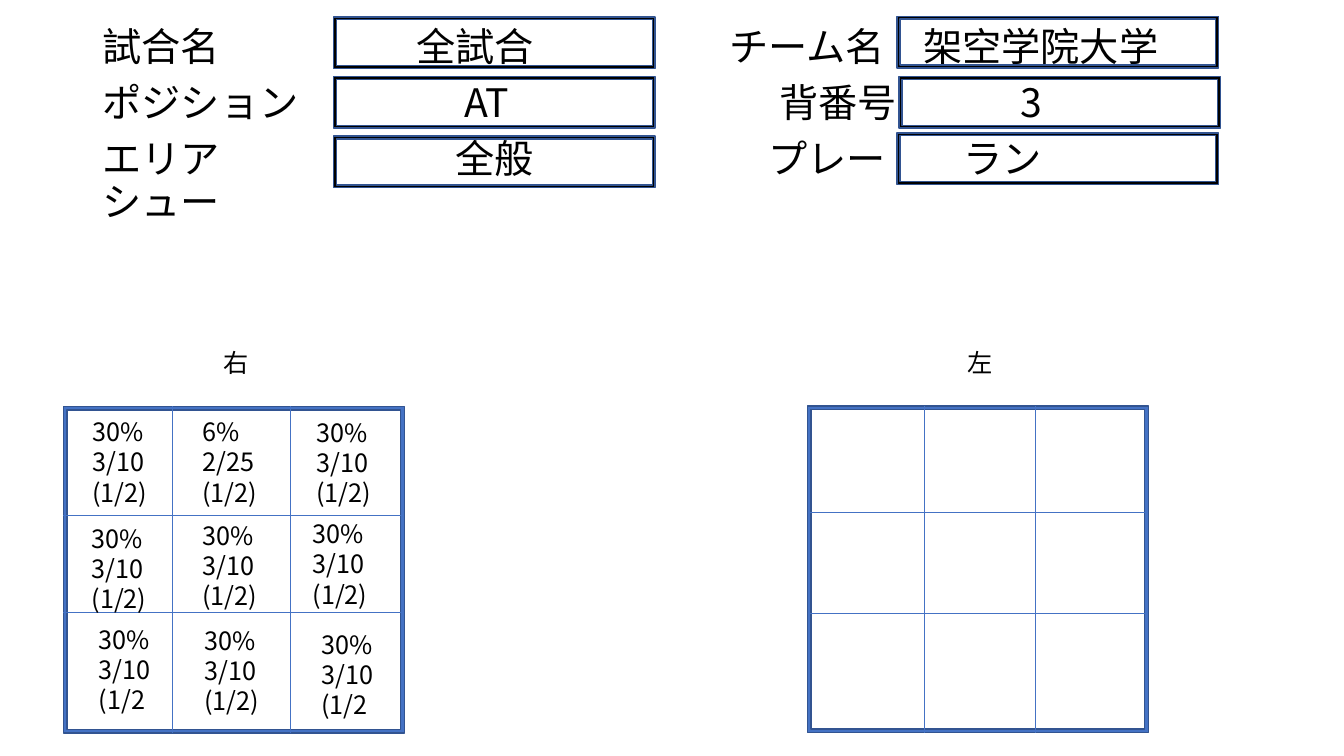
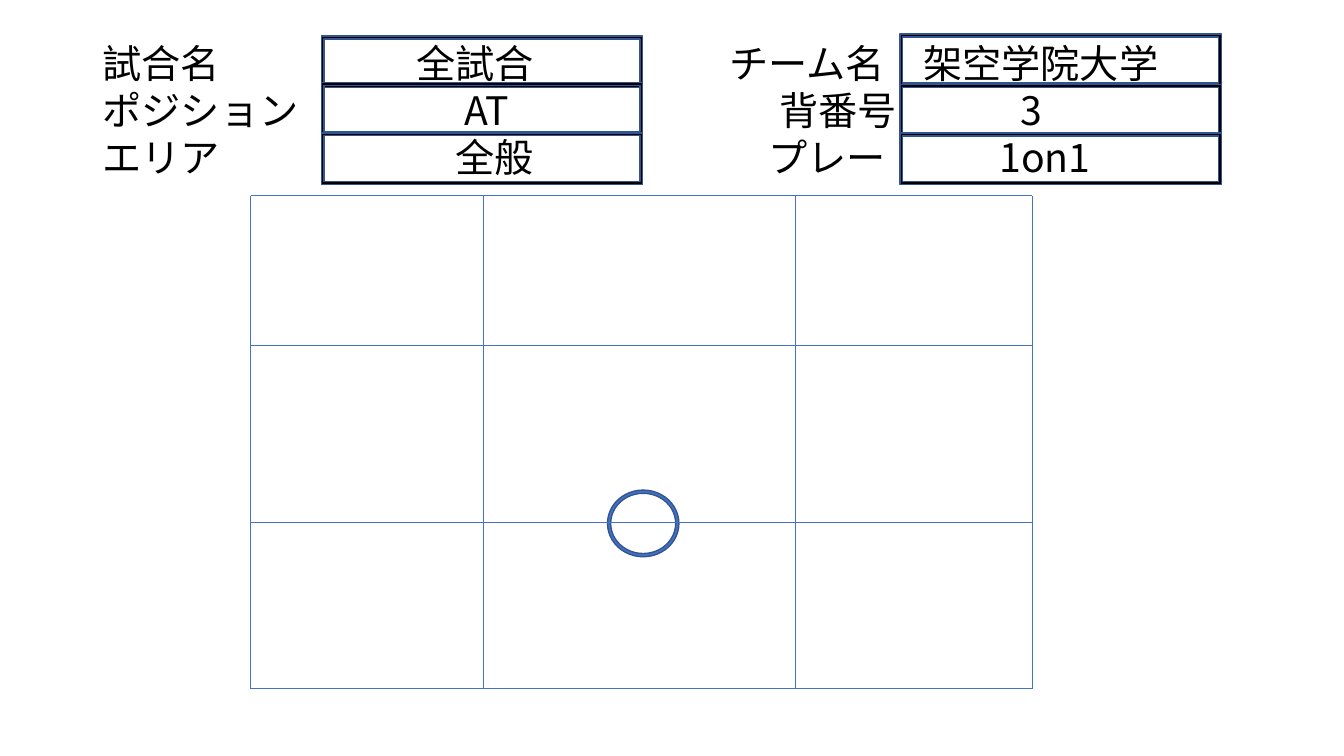
import pptx
import pptx.dml.color
import pptx.enum.shapes
import pptx.enum.text
import pptx.oxml
import pptx.oxml.ns
import pptx.util
from lxml import etree

Cm = pptx.util.Cm
Pt = pptx.util.Pt
SHAPES = pptx.enum.shapes.MSO_SHAPE

FONT = "Noto Sans CJK JP"
BLACK, BLUE, NAVY = "000000", "4472C4", "325491"
FIELD_WIDTH, FIELD_HEIGHT = 8.1, 1.3
GOAL_WIDTH, GOAL_HEIGHT = 8.59, 8.23

MATCH_ROW = "試合名\t全試合\tチーム名\t架空学院大学"
POSITION_ROW = "ポジション\tAT\t背番号\t3"
HEADER_TABS = [
    (7.9, 15.8, 20.68),
    (9.11, 17.05, 23.13),
    (8.89, 16.77, 21.7),
]
PLAY_TAB = 22.6

RIGHT_SCORES = [
    ("30%\n3/10\n(1/2)", 0.48, 0.13),
    ("6%\n2/25\n(1/2)", 3.25, 0.13),
    ("30%\n3/10\n(1/2)", 6.12, 0.15),
    ("30%\n3/10\n(1/2)", 0.46, 2.82),
    ("30%\n3/10\n(1/2)", 3.25, 2.74),
    ("30%\n3/10\n(1/2)", 6.03, 2.7),
    ("30%\n3/10\n(1/2", 0.64, 5.36),
    ("30%\n3/10\n(1/2)", 3.3, 5.38),
    ("30%\n3/10\n(1/2", 6.25, 5.49),
]


def rgb(code):
    """Turn a hex string into a colour."""
    return pptx.dml.color.RGBColor.from_string(code)


def add_text(slide, text, left, top, width, height, size):
    """Add a black text box and return its text frame."""
    box = slide.shapes.add_textbox(Cm(left), Cm(top), Cm(width), Cm(height))
    frame = box.text_frame
    frame.word_wrap = True
    frame.text = text
    for paragraph in frame.paragraphs:
        for run in paragraph.runs:
            run.font.name = FONT
            run.font.size = Pt(size)
            run.font.color.rgb = rgb(BLACK)
            east_asian = etree.SubElement(run.font._element, pptx.oxml.ns.qn("a:ea"))
            east_asian.set("typeface", FONT)
    frame.auto_size = pptx.enum.text.MSO_AUTO_SIZE.SHAPE_TO_FIT_TEXT
    return frame


def add_outline(slide, preset, thickness, fill, left, top, width, height):
    """Add a hollow preset shape with a thin navy edge."""
    outline = slide.shapes.add_shape(preset, Cm(left), Cm(top), Cm(width), Cm(height))
    outline.adjustments[0] = thickness
    outline.shadow.inherit = False
    outline.fill.solid()
    outline.fill.fore_color.rgb = rgb(fill)
    outline.line.color.rgb = rgb(NAVY)
    outline.line.width = Pt(1)


def add_line(slide, x1, y1, x2, y2):
    """Add a thin blue line without a shadow."""
    line = slide.shapes.add_connector(
        pptx.enum.shapes.MSO_CONNECTOR.STRAIGHT, Cm(x1), Cm(y1), Cm(x2), Cm(y2))
    line.line.color.rgb = rgb(BLUE)
    line.line.width = Pt(0.5)
    etree.SubElement(line._element.spPr, pptx.oxml.ns.qn("a:effectLst"))


def add_grid(slide, left, top, width, height, columns, rows):
    """Draw vertical and horizontal lines at offsets inside a box."""
    for x in columns:
        add_line(slide, left + x, top, left + x, top + height)
    for y in rows:
        add_line(slide, left, top + y, left + width, top + y)


def set_tabs(paragraph, stops):
    """Give a paragraph left tab stops."""
    tab_list = etree.SubElement(
        paragraph._p.get_or_add_pPr(), pptx.oxml.ns.qn("a:tabLst"))
    for stop in stops:
        etree.SubElement(tab_list, pptx.oxml.ns.qn("a:tab"),
                         pos=str(int(Cm(stop))), algn="l")


def add_header(slide, top, height, area_row, fields, tabs, spacing=1.0, before=0):
    """Write the three header rows and frame their values."""
    rows = "\n".join((MATCH_ROW, POSITION_ROW, area_row))
    frame = add_text(slide, rows, 2.34, top, 29.2, height, 28)
    for paragraph, stops in zip(frame.paragraphs, tabs):
        paragraph.line_spacing = spacing
        paragraph.space_before = Pt(before)
        set_tabs(paragraph, stops)
    for field_left, field_top in fields:
        add_outline(slide, SHAPES.FRAME, 0.054, BLACK,
                    field_left, field_top, FIELD_WIDTH, FIELD_HEIGHT)


def add_goal(slide, left, top, side, columns, rows, scores=()):
    """Draw a goal with nine zones, its side label and its scores."""
    add_outline(slide, SHAPES.FRAME, 0.011, BLUE, left, top, GOAL_WIDTH, GOAL_HEIGHT)
    add_grid(slide, left, top, GOAL_WIDTH, GOAL_HEIGHT, columns, rows)
    add_text(slide, side, left + 3.78, top - 1.6, 1.65, 1.02, 18)
    for score, x, y in scores:
        add_text(slide, score, left + x, top + y, 2.24, 2.57, 18)


def add_pitch(slide, left, top, width, height):
    """Draw the playing area with its zones and the goal circle."""
    add_outline(slide, SHAPES.DONUT, 0.048, BLUE, left + 8.99, top + 7.42, 1.8, 1.68)
    add_grid(slide, left, top, width, height,
             (0, 5.87, 13.72, width), (0, 3.78, 8.23, height))


def build_shot_slide(slide):
    """Build the slide of scores by goal zone."""
    add_header(
        slide, 0.56, 4.45, "エリア\t全般\tプレー\tラン\vシュー",
        [(8.41, 0.43), (8.41, 1.93), (8.41, 3.43),
         (22.61, 0.41), (22.66, 1.93), (22.61, 3.35)],
        HEADER_TABS, 0.9, 10)
    add_goal(slide, 1.6, 10.24, "右", (2.74, 5.72), (2.74, 5.18), RIGHT_SCORES)
    add_goal(slide, 20.35, 10.23, "左", (2.94, 5.74), (2.69, 5.23))


def build_area_slide(slide):
    """Build the slide of the playing area."""
    add_header(
        slide, 0.86, 3.86, "エリア\t全般\tプレー\t1on1",
        [(8.1, 0.91), (8.1, 2.08), (8.1, 3.35),
         (22.68, 0.86), (22.68, 2.13), (22.68, 3.35)],
        HEADER_TABS[:2] + [HEADER_TABS[2][:2] + (PLAY_TAB,)])
    add_pitch(slide, 6.32, 4.93, 19.69, 12.42)


def main():
    """Build and save the presentation."""
    presentation = pptx.Presentation()
    presentation.slide_width = Cm(33.87)
    presentation.slide_height = Cm(19.05)
    blank = presentation.slide_layouts[6]
    for build in (build_shot_slide, build_area_slide):
        build(presentation.slides.add_slide(blank))
    presentation.save("out.pptx")


if __name__ == "__main__":
    main()
